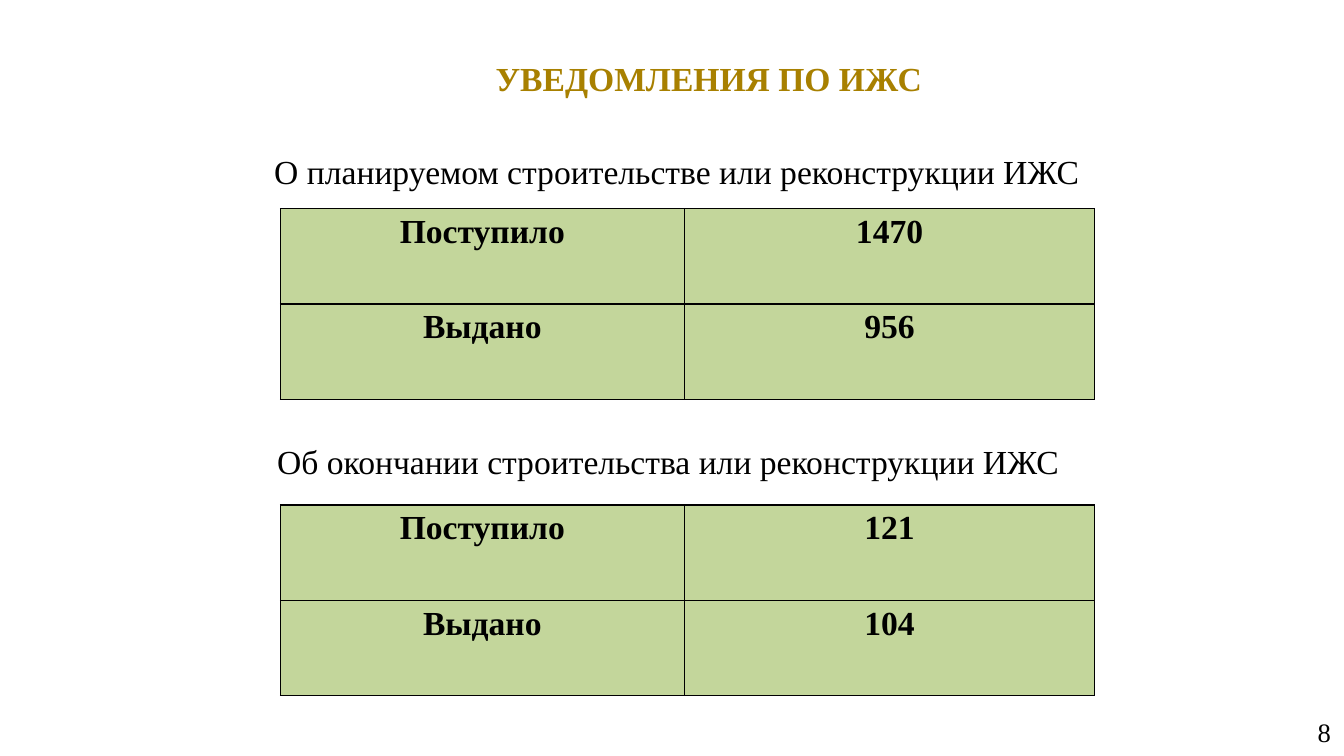
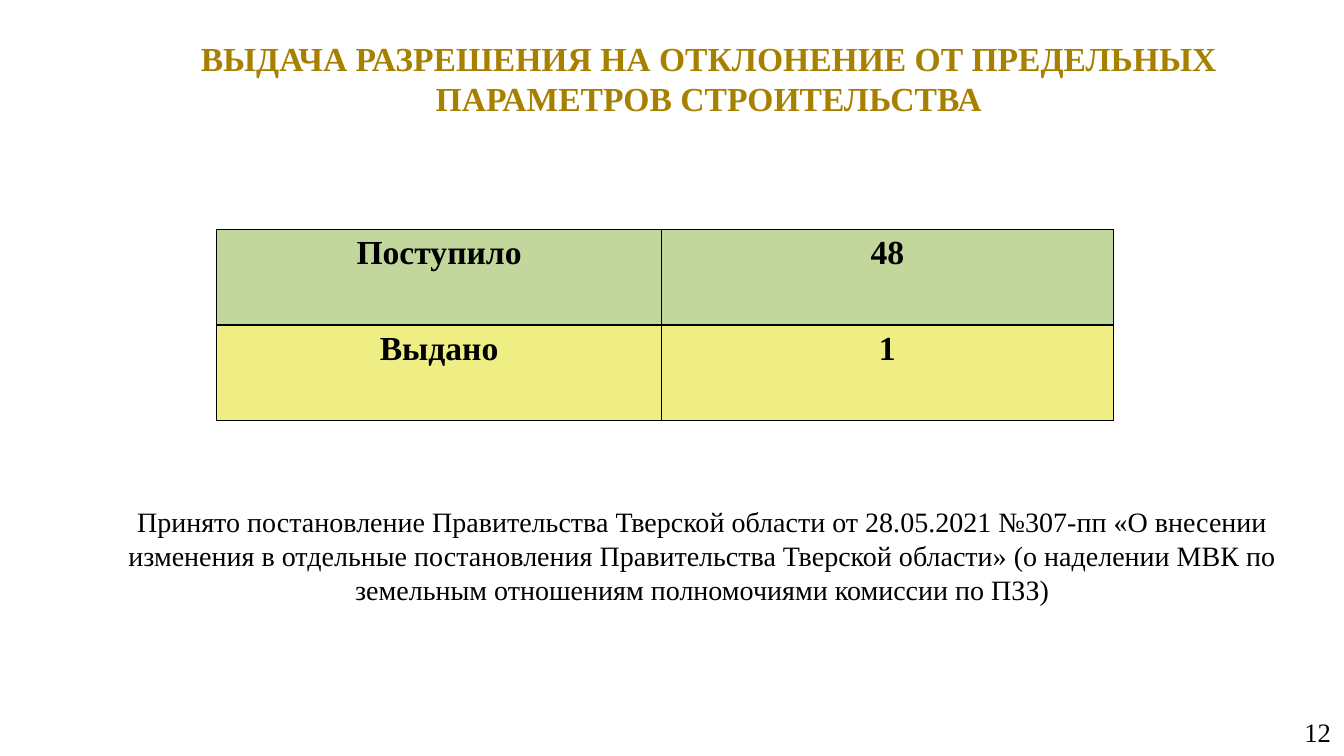
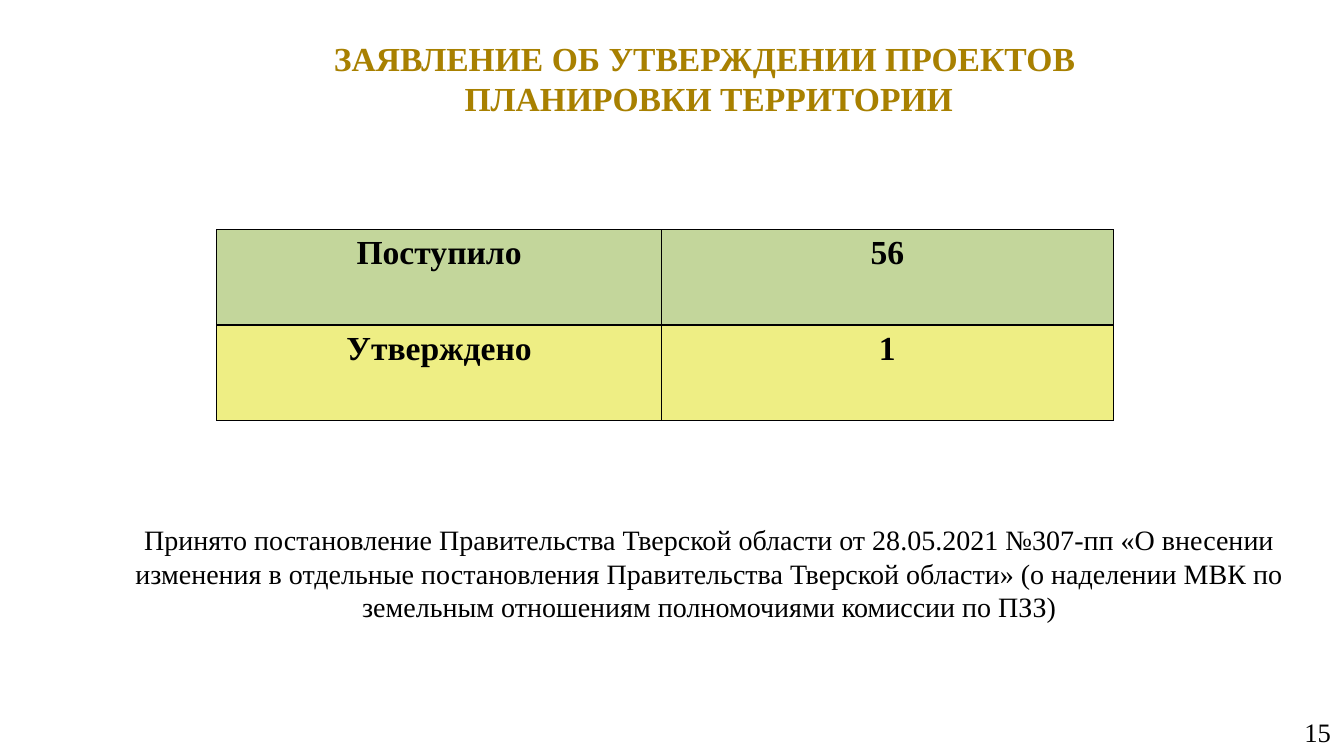
from collections import namedtuple

from lxml import etree
from pptx import Presentation
from pptx.dml.color import RGBColor
from pptx.enum.text import MSO_ANCHOR, MSO_AUTO_SIZE, PP_ALIGN
from pptx.oxml.ns import qn
from pptx.util import Inches, Pt

LEFT, CENTER, RIGHT = PP_ALIGN.LEFT, PP_ALIGN.CENTER, PP_ALIGN.RIGHT
TOP, MIDDLE = MSO_ANCHOR.TOP, MSO_ANCHOR.MIDDLE
NO_AUTOFIT = MSO_AUTO_SIZE.NONE

GOLD = RGBColor(0xA8, 0x80, 0x00)
BLACK = RGBColor(0x00, 0x00, 0x00)
GREEN = RGBColor(0xC3, 0xD6, 0x9B)
YELLOW = RGBColor(0xEE, 0xEE, 0x84)

FONT = "Times New Roman"
SLIDE_WIDTH, SLIDE_HEIGHT = Inches(13.33), Inches(7.5)
BORDER_WIDTH = Pt(0.96)
FIRST_COLUMN_PERCENT = 49.6

# Boxes are percentages of the slide's width and height.
Box = namedtuple("Box", "left top width height")
TITLE_BOX = Box(9.83, 3.73, 85.82, 13.2)
NUMBER_BOX = Box(76.67, 94.27, 23.33, 5.2)
PLANNED_CAPTION_BOX = Box(19.43, 19.07, 66.6, 7.07)
PLANNED_TABLE_BOX = Box(20.86, 27.6, 60.6, 25.2)
FINISHED_CAPTION_BOX = Box(19.65, 56.27, 60.6, 9.33)
FINISHED_TABLE_BOX = PLANNED_TABLE_BOX._replace(top=66.8)
DECISION_TABLE_BOX = Box(16.13, 30.4, 66.7, 25.2)
DEVIATION_NOTE_BOX = Box(7.58, 66.4, 89.35, 14.13)
PLANNING_NOTE_BOX = Box(8.1, 66.4, 89.35, 18.8)

DECREE = (
    "Принято постановление Правительства Тверской области от 28.05.2021 "
    "№307-пп «О внесении изменения в отдельные постановления Правительства "
    "Тверской области» (о наделении МВК по земельным отношениям "
    "полномочиями комиссии по ПЗЗ)"
)


def to_lengths(box):
    return (
        int(SLIDE_WIDTH * box.left / 100),
        int(SLIDE_HEIGHT * box.top / 100),
        int(SLIDE_WIDTH * box.width / 100),
        int(SLIDE_HEIGHT * box.height / 100),
    )


def write_text(frame, *lines, size=24, color=BLACK, bold=False, align=CENTER):
    """Write one paragraph, with a line break between the lines."""
    paragraph = frame.paragraphs[0]
    paragraph.alignment = align
    for index, line in enumerate(lines):
        if index:
            paragraph.add_line_break()
        run = paragraph.add_run()
        run.text = line
        run.font.name = FONT
        run.font.size = Pt(size)
        run.font.bold = bold
        run.font.color.rgb = color


def set_frame(frame, anchor):
    frame.word_wrap = True
    frame.auto_size = NO_AUTOFIT
    frame.vertical_anchor = anchor
    frame.margin_left = frame.margin_right = Inches(0.13)
    frame.margin_top = frame.margin_bottom = Inches(0.07)


def add_text(slide, box, text, anchor=MIDDLE, **text_format):
    frame = slide.shapes.add_textbox(*to_lengths(box)).text_frame
    set_frame(frame, anchor)
    write_text(frame, text, **text_format)


def add_titled_slide(presentation, number, *title_lines):
    slide = presentation.slides.add_slide(presentation.slide_layouts[5])
    title = slide.shapes.title
    title.left, title.top, title.width, title.height = to_lengths(TITLE_BOX)
    set_frame(title.text_frame, MIDDLE)
    write_text(title.text_frame, *title_lines, color=GOLD, bold=True)
    add_text(slide, NUMBER_BOX, str(number), size=19, align=RIGHT)
    return slide


def add_borders(cell):
    properties = cell._tc.get_or_add_tcPr()
    for index, side in enumerate(("a:lnL", "a:lnR", "a:lnT", "a:lnB")):
        line = etree.Element(qn(side), w=str(int(BORDER_WIDTH)))
        fill = etree.SubElement(line, qn("a:solidFill"))
        etree.SubElement(fill, qn("a:srgbClr"), val=str(BLACK))
        properties.insert(index, line)


def add_count_table(slide, box, rows, fills):
    """Add a table of labels and counts, each row with its own fill."""
    left, top, width, height = to_lengths(box)
    table = slide.shapes.add_table(len(rows), 2, left, top, width, height).table
    first_width = int(width * FIRST_COLUMN_PERCENT / 100)
    table.columns[0].width = first_width
    table.columns[1].width = width - first_width
    for row_index, (row, fill) in enumerate(zip(rows, fills)):
        for column_index, value in enumerate(row):
            cell = table.cell(row_index, column_index)
            cell.margin_left = cell.margin_right = Inches(0.13)
            cell.margin_top = cell.margin_bottom = Inches(0.05)
            cell.fill.solid()
            cell.fill.fore_color.rgb = fill
            add_borders(cell)
            write_text(cell.text_frame, str(value), bold=True)


def build_notifications(presentation):
    slide = add_titled_slide(presentation, 8, "УВЕДОМЛЕНИЯ ПО ИЖС")
    sections = (
        (PLANNED_CAPTION_BOX, TOP, "О планируемом строительстве или реконструкции ИЖС",
         PLANNED_TABLE_BOX, 1470, 956),
        (FINISHED_CAPTION_BOX, MIDDLE, "Об окончании строительства или реконструкции ИЖС",
         FINISHED_TABLE_BOX, 121, 104),
    )
    for caption_box, anchor, caption, table_box, received, issued in sections:
        add_text(slide, caption_box, caption, anchor=anchor, align=LEFT)
        rows = (("Поступило", received), ("Выдано", issued))
        add_count_table(slide, table_box, rows, (GREEN, GREEN))


def build_decision(presentation, number, title_lines, received, outcome, note_box):
    slide = add_titled_slide(presentation, number, *title_lines)
    rows = (("Поступило", received), outcome)
    add_count_table(slide, DECISION_TABLE_BOX, rows, (GREEN, YELLOW))
    add_text(slide, note_box, DECREE, size=20)


def main():
    presentation = Presentation()
    presentation.slide_width = SLIDE_WIDTH
    presentation.slide_height = SLIDE_HEIGHT
    build_notifications(presentation)
    build_decision(
        presentation, 12,
        ("ВЫДАЧА РАЗРЕШЕНИЯ НА ОТКЛОНЕНИЕ ОТ ПРЕДЕЛЬНЫХ ПАРАМЕТРОВ СТРОИТЕЛЬСТВА",),
        48, ("Выдано", 1), DEVIATION_NOTE_BOX,
    )
    build_decision(
        presentation, 15,
        ("ЗАЯВЛЕНИЕ ОБ УТВЕРЖДЕНИИ ПРОЕКТОВ ", "ПЛАНИРОВКИ ТЕРРИТОРИИ"),
        56, ("Утверждено", 1), PLANNING_NOTE_BOX,
    )
    presentation.save("out.pptx")


if __name__ == "__main__":
    main()
